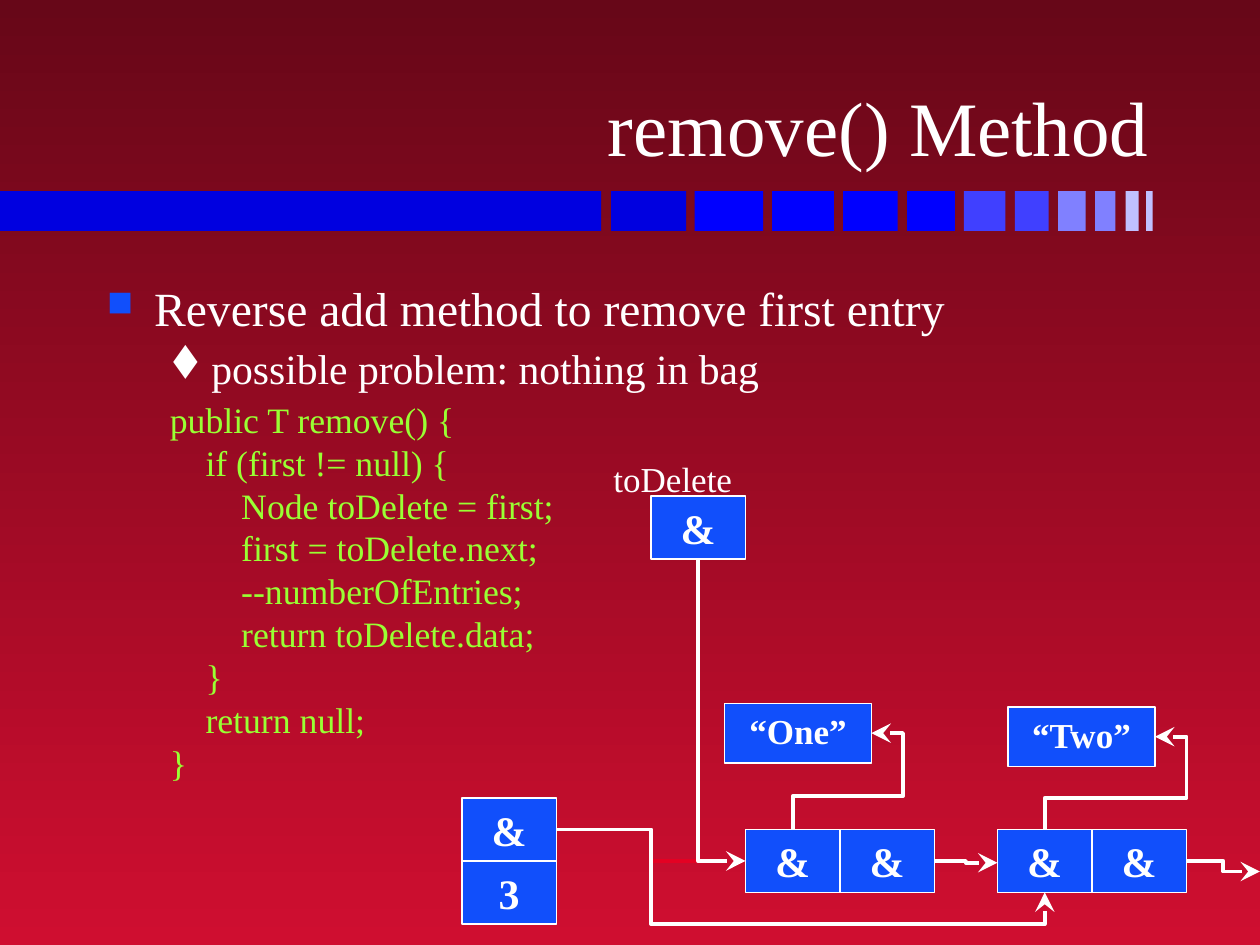
from dataclasses import dataclass
from typing import NamedTuple, Optional

from lxml.etree import SubElement as Sub
from pptx import Presentation
from pptx.dml.color import RGBColor as RGB
from pptx.enum.shapes import MSO_CONNECTOR as Conn, MSO_SHAPE as Shape
from pptx.enum.text import MSO_ANCHOR as Anchor, MSO_AUTO_SIZE as Fit, PP_ALIGN as Align
from pptx.oxml.ns import qn
from pptx.util import Pt


@dataclass(frozen=True)
class Theme:
    font: str = "Times New Roman"
    symbols: str = "Wingdings"
    white: str = "FFFFFF"
    box: str = "114FFB"
    code: str = "99FF33"
    red: str = "E40123"
    bg: tuple = ("670718", "CF0E30")
    title: float = 44
    bullet: float = 27.2
    sub_bullet: float = 23.8
    code_size: float = 20.4
    cell: float = 24
    label: float = 20
    thin: float = 1
    thick: float = 2.25


T = Theme()


class Bar(NamedTuple):
    left: float
    width: float
    color: str


class Box(NamedTuple):
    key: str
    text: str
    left: float
    top: float
    width: float = 54
    height: float = 36
    size: float = T.cell
    lift: float = 0


class Para(NamedTuple):
    text: str
    size: float
    color: str
    margin: float
    indent: float
    before: float
    bullet: str = ""
    bullet_color: str = T.white
    bullet_pct: int = 100


class Link(NamedTuple):
    start: tuple
    end: tuple
    source: tuple
    target: Optional[tuple]
    bends: int
    adj: tuple = ()
    rot: int = 0
    flip: str = ""
    color: str = T.white


BARS = [
    Bar(0, 343.6, "0000E0"), Bar(349.2, 42.9, "0000E0"),
    Bar(397, 39.1, "0000FF"), Bar(441.2, 35.3, "0000FF"),
    Bar(481.8, 31.1, "0000FF"), Bar(518.3, 27.4, "0000FF"),
    Bar(550.8, 23.8, "4040FF"), Bar(580, 19.2, "4040FF"),
    Bar(604.6, 15.8, "8080FF"), Bar(625.8, 11.6, "8080FF"),
    Bar(643.2, 7.4, "C0C0FF"), Bar(654.9, 3.8, "C0C0FF"),
]

CODE = """public T remove() {
    if (first != null) {
        Node toDelete = first;
        first = toDelete.next;
        --numberOfEntries;
        return toDelete.data;
    }
    return null;
}"""

PARAS = [
    Para("Reverse add method to remove first entry", T.bullet, T.white,
         27, -27, 0, "n", T.box, 75),
    Para("possible problem: nothing in bag", T.sub_bullet, T.white,
         58.5, -22.5, 3.5, "t"),
] + [Para(line, T.code_size, T.code, 58.5, -22.5, 0 if i else 3)
     for i, line in enumerate(CODE.splitlines())]

BOXES = [
    Box("data1", "&", 426, 474), Box("next1", "&", 480, 474),
    Box("data2", "&", 570, 474), Box("next2", "&", 624, 474),
    Box("first", "&", 264, 456), Box("count", "3", 264, 492),
    Box("toDelete", "&", 372, 283.5),
    Box("one", "“One”", 414, 402, 84, 34, T.label, 3),
    Box("two", "“Two”", 576, 404, 84, 34, T.label, 3),
]

LINKS = [
    Link((453, 474), (498, 419), ("data1", 0), ("one", 3), 4, (.346, 1.4), 90, "HV"),
    Link((597, 474), (660, 421), ("data2", 0), ("two", 3), 4, (.34, 1.286), 90, "HV"),
    Link((534, 492), (570, 493), ("next1", 3), None, 3, (.5,)),
    Link((678, 492), (720, 498), ("next2", 3), None, 3, (.5,)),
    Link((318, 474), (426, 492), ("first", 3), ("data1", 1), 3, (.5,), color=T.red),
    Link((399, 319.5), (426, 492), ("toDelete", 2), ("data1", 1), 2, (), 270, "H"),
    Link((318, 474), (597, 510), ("first", 3), ("data2", 2), 4, (.194, 1.5)),
]


def write(p, text: str, size: float, color: str = T.white, bold: bool = False) -> None:
    r = p.add_run()
    r.text = text
    for key, value in {"name": T.font, "size": Pt(size), "bold": bold}.items():
        setattr(r.font, key, value)
    r.font.color.rgb = RGB.from_string(color)


def add_rect(s, left: float, top: float, width: float, height: float, color: str):
    sp = s.shapes.add_shape(Shape.RECTANGLE, Pt(left), Pt(top), Pt(width), Pt(height))
    sp.shadow.inherit = False
    sp.fill.solid()
    sp.fill.fore_color.rgb = RGB.from_string(color)
    sp.line.fill.background()
    return sp


def add_box(s, box: Box):
    sp = add_rect(s, box.left, box.top, box.width, box.height, T.box)
    sp.line.color.rgb = RGB.from_string(T.white)
    sp.line.width = Pt(T.thin)
    tf = sp.text_frame
    tf.vertical_anchor = Anchor.MIDDLE
    tf.margin_bottom = Pt(3.6 + box.lift)
    p = tf.paragraphs[0]
    p.alignment = Align.CENTER
    write(p, box.text, box.size, bold=True)
    return sp


def add_para(p, para: Para) -> None:
    pPr = p._p.get_or_add_pPr()
    pPr.set("marL", str(Pt(para.margin)))
    pPr.set("indent", str(Pt(para.indent)))
    if para.bullet:
        Sub(Sub(pPr, qn("a:buClr")), qn("a:srgbClr"), val=para.bullet_color)
        Sub(pPr, qn("a:buSzPct"), val=str(para.bullet_pct * 1000))
        Sub(pPr, qn("a:buFont"), typeface=T.symbols, charset="2")
        Sub(pPr, qn("a:buChar"), char=para.bullet)
    else:
        Sub(pPr, qn("a:buNone"))
    p.space_before = Pt(para.before)
    write(p, para.text, para.size, para.color)


def add_link(s, link: Link, boxes: dict) -> None:
    (x1, y1), (x2, y2) = link.start, link.end
    c = s.shapes.add_connector(Conn.ELBOW, Pt(x1), Pt(y1), Pt(x2), Pt(y2))
    c.begin_connect(boxes[link.source[0]], link.source[1])
    if link.target:
        c.end_connect(boxes[link.target[0]], link.target[1])
    w, h = abs(x2 - x1), abs(y2 - y1)
    if link.rot:
        w, h = h, w
    frame = {"left": (x1 + x2 - w) / 2, "top": (y1 + y2 - h) / 2, "width": w, "height": h}
    for key, value in frame.items():
        setattr(c, key, Pt(value))
    spPr = c._element.spPr
    xfrm = spPr.find(qn("a:xfrm"))
    xfrm.set("rot", str(link.rot * 60000))
    for axis in "HV":
        xfrm.set("flip" + axis, str(int(axis in link.flip)))
    geom = spPr.find(qn("a:prstGeom"))
    geom.set("prst", f"bentConnector{link.bends}")
    guides = geom.find(qn("a:avLst"))
    for i, adj in enumerate(link.adj, 1):
        Sub(guides, qn("a:gd"), name=f"adj{i}", fmla=f"val {round(adj * 100000)}")
    c.line.color.rgb = RGB.from_string(link.color)
    c.line.width = Pt(T.thick)
    Sub(c.line._get_or_add_ln(), qn("a:tailEnd"), type="stealth", w="lg", len="lg")
    Sub(spPr, qn("a:effectLst"))


def main() -> None:
    prs = Presentation()
    prs.slide_width, prs.slide_height = Pt(720), Pt(540)
    s = prs.slides.add_slide(prs.slide_layouts[5])
    fill = s.background.fill
    fill.gradient()
    fill.gradient_angle = 270
    for stop, color, pos in zip(fill.gradient_stops, T.bg, (0, 1)):
        stop.color.rgb = RGB.from_string(color)
        stop.position = pos
    for bar in BARS:
        add_rect(s, bar.left, 109.2, bar.width, 22.8, bar.color)

    title = s.shapes.title
    frame = {"left": 53.3, "top": 13.2, "width": 610.6, "height": 88.6}
    for key, value in frame.items():
        setattr(title, key, Pt(value))
    title.text_frame.vertical_anchor = Anchor.BOTTOM
    p = title.text_frame.paragraphs[0]
    p.alignment = Align.RIGHT
    write(p, "remove() Method", T.title)

    tf = s.shapes.add_textbox(Pt(54), Pt(156), Pt(612), Pt(324)).text_frame
    tf.word_wrap = True
    for i, para in enumerate(PARAS):
        add_para(tf.add_paragraph() if i else tf.paragraphs[0], para)

    boxes = {box.key: add_box(s, box) for box in BOXES}
    for link in LINKS:
        add_link(s, link, boxes)

    tf = s.shapes.add_textbox(Pt(341.5), Pt(257.8), Pt(86), Pt(31.7)).text_frame
    tf.word_wrap = False
    tf.auto_size = Fit.SHAPE_TO_FIT_TEXT
    tf.paragraphs[0].alignment = Align.CENTER
    write(tf.paragraphs[0], "toDelete", T.label)
    prs.save("out.pptx")


if __name__ == "__main__":
    main()
